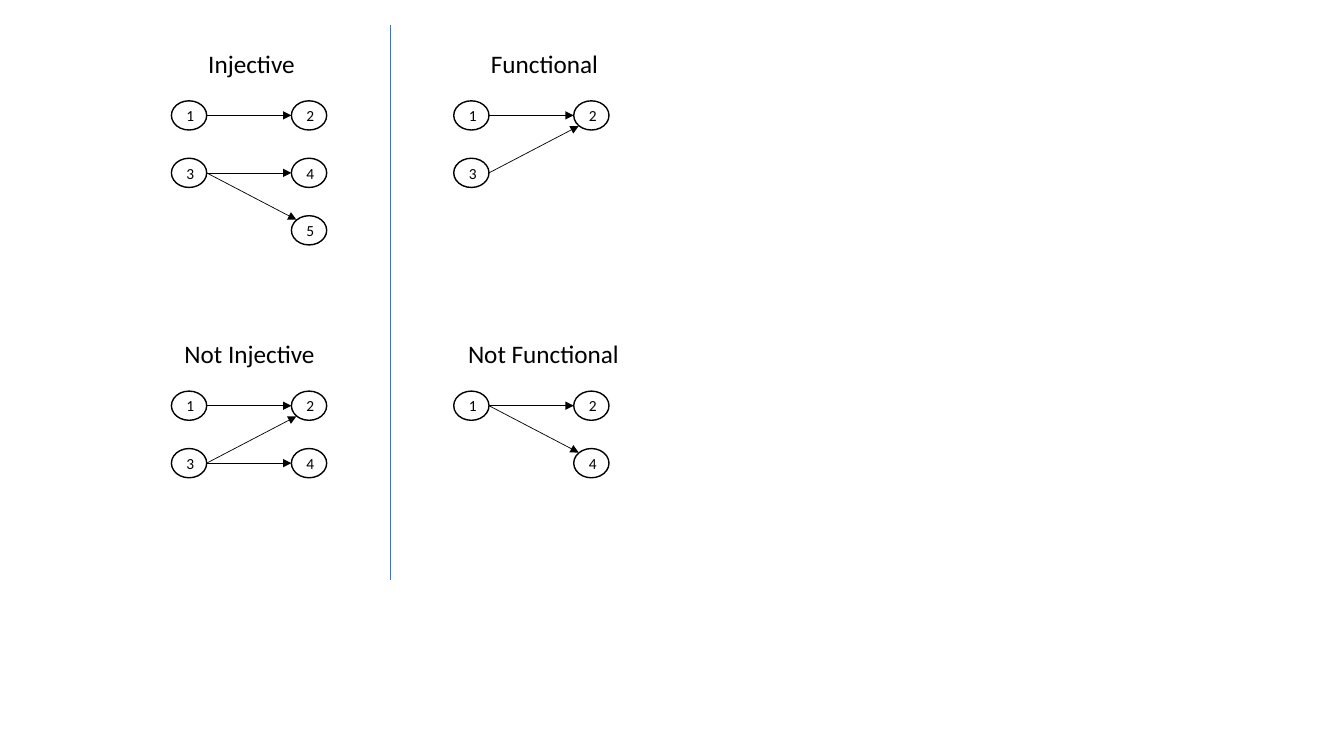
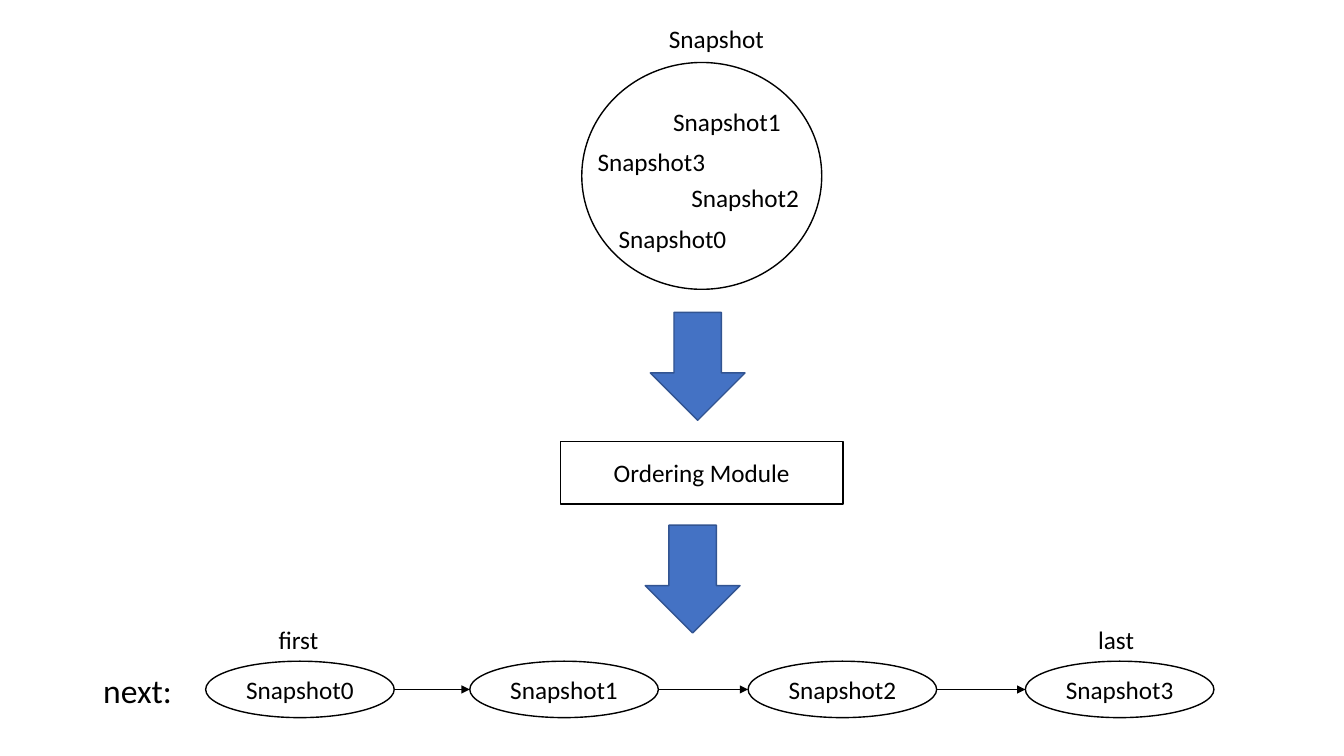
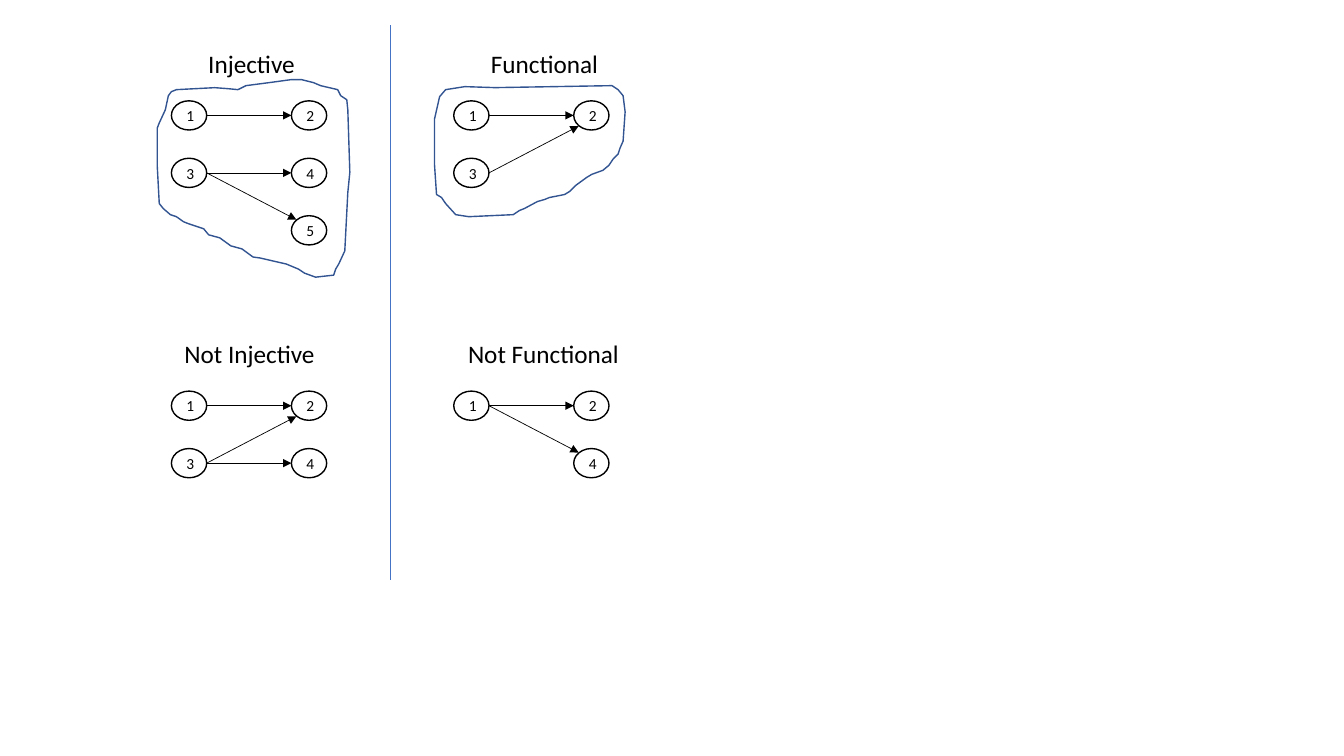
from lxml.etree import SubElement
from pptx import Presentation
from pptx.dml.color import RGBColor
from pptx.enum.shapes import MSO_CONNECTOR, MSO_SHAPE
from pptx.enum.text import MSO_ANCHOR, PP_ALIGN
from pptx.oxml.ns import qn
from pptx.util import Inches, Pt

COLORS = {"ink": "000000", "paper": "FFFFFF", "accent": "4472C4", "outline": "325491"}
FONT = "Calibri"
LABEL_HEIGHT = 0.4

# Relation diagrams: node size, and the steps between node columns and rows
NODE_W, NODE_H = 0.35, 0.29
STEP_X, STEP_Y = 1.19, 0.57
DIVIDER_X, DIVIDER_TOP, DIVIDER_BOTTOM = 3.87, 0.25, 5.75
HEADING_RISE = 0.57

# Heading, heading indent and width, diagram corner,
# nodes as {number: (column, row)}, arrows as (from, to)
RELATIONS = [
    ("Injective", 0.26, 1.07, (1.7, 1.0),
     {1: (0, 0), 2: (1, 0), 3: (0, 1), 4: (1, 1), 5: (1, 2)}, [(1, 2), (3, 4), (3, 5)]),
    ("Not Injective", 0.02, 1.51, (1.7, 3.88),
     {1: (0, 0), 2: (1, 0), 3: (0, 1), 4: (1, 1)}, [(1, 2), (3, 4), (3, 2)]),
    ("Functional", 0.26, 1.28, (4.5, 1.0),
     {1: (0, 0), 2: (1, 0), 3: (0, 1)}, [(1, 2), (3, 2)]),
    ("Not Functional", 0.03, 1.72, (4.5, 3.88),
     {1: (0, 0), 2: (1, 0), 4: (1, 1)}, [(1, 2), (1, 4)]),
]

# Hand-drawn loops, in hundredths of an inch
INJECTIVE_LOOP = [
    (213, 87), (175, 89), (170, 91), (167, 95), (164, 109), (158, 122), (156, 127),
    (156, 165), (158, 202), (162, 207), (169, 213), (175, 215), (182, 220), (187, 222),
    (202, 227), (207, 233), (218, 236), (229, 244), (240, 247), (251, 255), (258, 256),
    (284, 262), (296, 267), (302, 271), (313, 275), (331, 273), (333, 267), (336, 262),
    (342, 249), (345, 191), (347, 171), (345, 109), (344, 99), (338, 95), (335, 89),
    (318, 85), (311, 82), (299, 79), (289, 79), (267, 82), (244, 85), (236, 89), (226, 88),
]
FUNCTIONAL_LOOP = [
    (491, 87), (461, 86), (442, 89), (436, 96), (431, 118), (431, 164), (433, 193),
    (438, 196), (442, 202), (452, 213), (465, 215), (509, 213), (515, 209), (520, 207),
    (533, 200), (540, 198), (545, 196), (560, 193), (565, 190), (571, 184), (582, 176),
    (587, 173), (598, 169), (604, 164), (608, 158), (613, 153), (615, 147), (618, 140),
    (620, 111), (618, 95), (613, 89), (607, 85),
]


def paint(shape, fill=None, line=None, text="", size=18, wrap=True):
    """Give a shape its fill, outline and centred text; None means no paint."""
    if fill:
        shape.fill.solid()
        shape.fill.fore_color.rgb = RGBColor.from_string(COLORS[fill])
    else:
        shape.fill.background()
    if line:
        shape.line.color.rgb = RGBColor.from_string(COLORS[line])
        shape.line.width = Pt(1)
    else:
        shape.line.fill.background()
    shape.shadow.inherit = False
    if text:
        frame = shape.text_frame
        frame.text, frame.word_wrap = text, wrap
        frame.vertical_anchor = MSO_ANCHOR.MIDDLE
        frame.paragraphs[0].alignment = PP_ALIGN.CENTER
        font = frame.paragraphs[0].runs[0].font
        for attribute, value in {"name": FONT, "size": Pt(size)}.items():
            setattr(font, attribute, value)
        font.color.rgb = RGBColor.from_string(COLORS["ink"])


def connect(shapes, start, end, color="ink", arrow=True):
    """Draw a thin straight line between two points, with an arrowhead at its end."""
    link = shapes.add_connector(MSO_CONNECTOR.STRAIGHT, *map(Inches, start + end))
    link.line.color.rgb = RGBColor.from_string(COLORS[color])
    link.line.width = Pt(0.5)
    if arrow:
        SubElement(link.line._get_or_add_ln(), qn("a:tailEnd"), type="triangle")
    SubElement(link._element.spPr, qn("a:effectLst"))


prs = Presentation()
prs.slide_width, prs.slide_height = Inches(13.33), Inches(7.5)
plain, ordering, circled = [prs.slides.add_slide(prs.slide_layouts[6]) for _ in range(3)]

# Slides 1 and 3: the four relations, the second time with loops
for slide, loops in ((plain, []), (circled, [INJECTIVE_LOOP, FUNCTIONAL_LOOP])):
    shapes = slide.shapes
    for heading, indent, width, (left, top), nodes, arrows in RELATIONS:
        box = (left + indent, top - HEADING_RISE, width, LABEL_HEIGHT)
        paint(shapes.add_textbox(*map(Inches, box)), text=heading, wrap=False)
        corners = {number: (left + column * STEP_X, top + row * STEP_Y)
                   for number, (column, row) in nodes.items()}
        for number, (x, y) in corners.items():
            node = shapes.add_shape(MSO_SHAPE.OVAL, *map(Inches, (x, y, NODE_W, NODE_H)))
            paint(node, "paper", "ink", str(number), size=11)
        for source, target in arrows:
            (x1, y1), (x2, y2) = corners[source], corners[target]
            if y1 == y2:
                tip = (x2, y2 + NODE_H / 2)
            else:
                tip = (x2 + 0.05, y2 + (0.04 if y2 > y1 else NODE_H - 0.04))
            connect(shapes, (x1 + NODE_W, y1 + NODE_H / 2), tip)
    connect(shapes, (DIVIDER_X, DIVIDER_TOP), (DIVIDER_X, DIVIDER_BOTTOM), "accent", arrow=False)
    for loop in loops:
        outline = shapes.build_freeform(*loop[0], scale=Inches(0.01))
        outline.add_line_segments(loop[1:], close=True)
        paint(outline.convert_to_shape(), line="outline")

# Slide 2: a set of snapshots is put in order
shapes = ordering.shapes
snapshot_set = shapes.add_shape(MSO_SHAPE.OVAL, *map(Inches, (5.77, 0.62, 2.38, 2.25)))
paint(snapshot_set, line="ink")
for label, left, top, width in [
    ("Snapshot0", 6.03, 2.17, 1.28),
    ("Snapshot1", 6.57, 1.0, 1.28),
    ("Snapshot3", 5.82, 1.4, 1.28),
    ("Snapshot2", 6.75, 1.76, 1.28),
    ("Snapshot", 6.53, 0.18, 1.15),
    ("first", 2.66, 6.14, 0.6),
    ("last", 10.79, 6.14, 0.56),
]:
    box = (left, top, width, LABEL_HEIGHT)
    paint(shapes.add_textbox(*map(Inches, box)), text=label, wrap=False)
next_label = shapes.add_textbox(*map(Inches, (0.92, 6.6, 0.89, 0.5)))
paint(next_label, text="next:", size=24, wrap=False)

for left, top in ((6.45, 3.1), (6.4, 5.21)):
    step = shapes.add_shape(MSO_SHAPE.DOWN_ARROW, *map(Inches, (left, top, 0.94, 1.07)))
    paint(step, "accent", "outline")
module = shapes.add_shape(MSO_SHAPE.RECTANGLE, *map(Inches, (5.56, 4.38, 2.8, 0.62)))
paint(module, "paper", "ink", "Ordering Module")

chain = shapes.add_group_shape().shapes
CHAIN_LEFTS, CHAIN_TOP, LINK_W, LINK_H = (2.04, 4.66, 7.42, 10.17), 6.56, 1.87, 0.56
for index, left in enumerate(CHAIN_LEFTS):
    snapshot = chain.add_shape(MSO_SHAPE.OVAL, *map(Inches, (left, CHAIN_TOP, LINK_W, LINK_H)))
    paint(snapshot, "paper", "ink", f"Snapshot{index}")
middle = CHAIN_TOP + LINK_H / 2
for left, following in zip(CHAIN_LEFTS, CHAIN_LEFTS[1:]):
    connect(chain, (left + LINK_W, middle), (following, middle))

prs.save("out.pptx")
